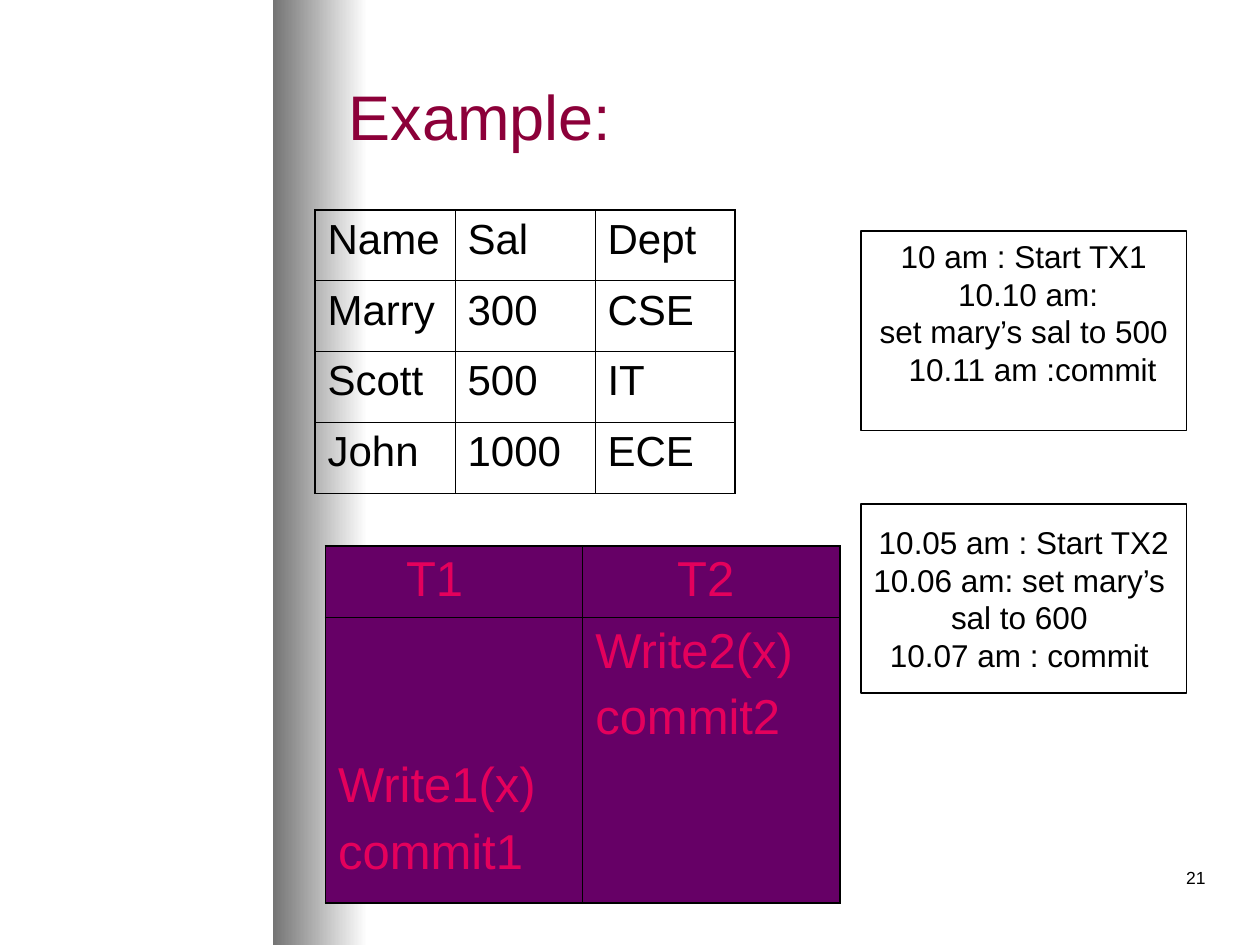
from dataclasses import dataclass
from typing import Any

from lxml.etree import SubElement
from pptx import Presentation
from pptx.dml.color import RGBColor
from pptx.enum.shapes import MSO_SHAPE
from pptx.enum.text import MSO_ANCHOR, PP_ALIGN
from pptx.oxml.ns import qn
from pptx.util import Inches, Pt

UNIT = Inches(10) // 120
BLACK, WHITE, PLUM = "000000", "FFFFFF", "660066"
THICK, THIN = 1.08, 0.45


@dataclass
class Area:
    col: float
    row: float
    wide: float
    high: float

    def place(self) -> tuple[int, ...]:
        return tuple(round(n * UNIT) for n in (self.col, self.row, self.wide, self.high))


@dataclass
class Line:
    text: str
    left: float = 0
    right: float = 0


@dataclass
class Box:
    area: Area
    lines: list[Line]
    base: float = 0.05


@dataclass
class Cell:
    text: str
    left: float = 0.1
    top: float = 0.05


@dataclass
class Grid:
    area: Area
    rows: list[list[Cell]]
    highs: list[float]
    size: float
    gap: float
    ink: str = BLACK
    fill: str = ""


def tint(code: str) -> RGBColor:
    return RGBColor.from_string(code)


def apply(item: Any, values: dict[str, Any]) -> None:
    for key, value in values.items():
        setattr(item, key, value)


def write(frame: Any, lines: list[Line], size: float, ink: str = BLACK,
          align: Any = PP_ALIGN.LEFT, gap: float = 0) -> None:
    for i, line in enumerate(lines):
        para = frame.add_paragraph() if i else frame.paragraphs[0]
        para.alignment = align
        if i and gap:
            para.space_before = Pt(gap)
        for key, inset in (("marL", line.left), ("marR", line.right)):
            if inset:
                para._p.get_or_add_pPr().set(key, str(Inches(inset)))
        run = para.add_run()
        run.text = line.text
        apply(run.font, {"size": Pt(size), "name": "Arial"})
        run.font.color.rgb = tint(ink)


def edge(cell: Any, side: str, width: float) -> None:
    line = SubElement(cell._tc.get_or_add_tcPr(), qn(f"a:ln{side}"), w=str(Pt(width)))
    SubElement(SubElement(line, qn("a:solidFill")), qn("a:srgbClr"), val=BLACK)


def draw_band(slide: Any, area: Area) -> None:
    band = slide.shapes.add_shape(MSO_SHAPE.RECTANGLE, *area.place())
    band.shadow.inherit = False
    band.line.fill.background()
    band.fill.gradient()
    band.fill.gradient_angle = 0
    for stop, spot, code in zip(band.fill.gradient_stops, (0, 1), ("747474", WHITE)):
        stop.position = spot
        stop.color.rgb = tint(code)
    slide.shapes._spTree.insert(2, band._element)


def draw_title(slide: Any, area: Area, text: str) -> None:
    title = slide.shapes.title
    apply(title, dict(zip(("left", "top", "width", "height"), area.place())))
    title.text_frame.vertical_anchor = MSO_ANCHOR.MIDDLE
    write(title.text_frame, [Line(text)], 36, "8C0039")


def draw_page(slide: Any, area: Area, text: str) -> None:
    frame = slide.shapes.add_textbox(*area.place()).text_frame
    frame.word_wrap = True
    write(frame, [Line(text)], 10, align=PP_ALIGN.RIGHT)


def draw_box(slide: Any, box: Box) -> None:
    shape = slide.shapes.add_shape(MSO_SHAPE.RECTANGLE, *box.area.place())
    shape.shadow.inherit = False
    shape.fill.solid()
    shape.fill.fore_color.rgb = tint(WHITE)
    shape.line.color.rgb = tint(BLACK)
    shape.line.width = Pt(0.75)
    apply(shape.text_frame, {"word_wrap": False, "vertical_anchor": MSO_ANCHOR.MIDDLE,
                             "margin_bottom": Inches(box.base)})
    write(shape.text_frame, box.lines, 18, align=PP_ALIGN.CENTER)


def draw_grid(slide: Any, grid: Grid) -> None:
    tall, broad = len(grid.rows), len(grid.rows[0])
    table = slide.shapes.add_table(tall, broad, *grid.area.place()).table
    apply(table, {"first_row": False, "horz_banding": False})
    for r, row in enumerate(grid.rows):
        table.rows[r].height = round(grid.highs[r] * UNIT)
        for c, item in enumerate(row):
            cell = table.cell(r, c)
            apply(cell, {"margin_left": Inches(item.left), "margin_top": Inches(item.top),
                         "margin_right": Inches(0.1), "margin_bottom": Inches(0.05)})
            rims = {"L": c == 0, "R": c == broad - 1, "T": r == 0, "B": r == tall - 1}
            for side, outer in rims.items():
                edge(cell, side, THICK if outer else THIN)
            if grid.fill:
                cell.fill.solid()
                cell.fill.fore_color.rgb = tint(grid.fill)
            else:
                cell.fill.background()
            lines = [Line(text) for text in item.text.split("\n")]
            write(cell.text_frame, lines, grid.size, grid.ink, gap=grid.gap)


STAFF = [["Name", "Sal", "Dept"], ["Marry", "300", "CSE"],
         ["Scott", "500", "IT"], ["John", "1000", "ECE"]]
STEPS = [[Cell("T1", left=0.64), Cell("T2", left=0.75)],
         [Cell("Write1(x)\ncommit1", top=1.12), Cell("Write2(x)\ncommit2")]]
GRIDS = [
    Grid(Area(30, 20, 40, 27), [[Cell(text) for text in row] for row in STAFF],
         [6.75] * 4, 24, 6),
    Grid(Area(31, 52, 49, 34), STEPS, [6.8, 27.2], 28, 7, "E4005C", PLUM),
]
BOXES = [
    Box(Area(82, 22, 31, 19),
        [Line("10 am : Start TX1"), Line("10.10 am:", left=0.07),
         Line("set mary’s sal to 500"), Line("10.11 am :commit", left=0.14)], 0.34),
    Box(Area(82, 48, 31, 18),
        [Line("10.05 am : Start TX2"), Line("10.06 am: set mary’s", right=0.07),
         Line("sal to 600"), Line("10.07 am : commit")]),
]


def main() -> None:
    deck = Presentation()
    apply(deck, {"slide_width": Inches(10), "slide_height": Inches(7.5)})
    slide = deck.slides.add_slide(deck.slide_layouts[5])
    draw_band(slide, Area(26, 0, 9, 90))
    draw_page(slide, Area(91, 82, 25, 6), "21")
    draw_title(slide, Area(32, 3, 84, 16), "Example:")
    for box in BOXES:
        draw_box(slide, box)
    for grid in GRIDS:
        draw_grid(slide, grid)
    deck.save("out.pptx")


if __name__ == "__main__":
    main()
